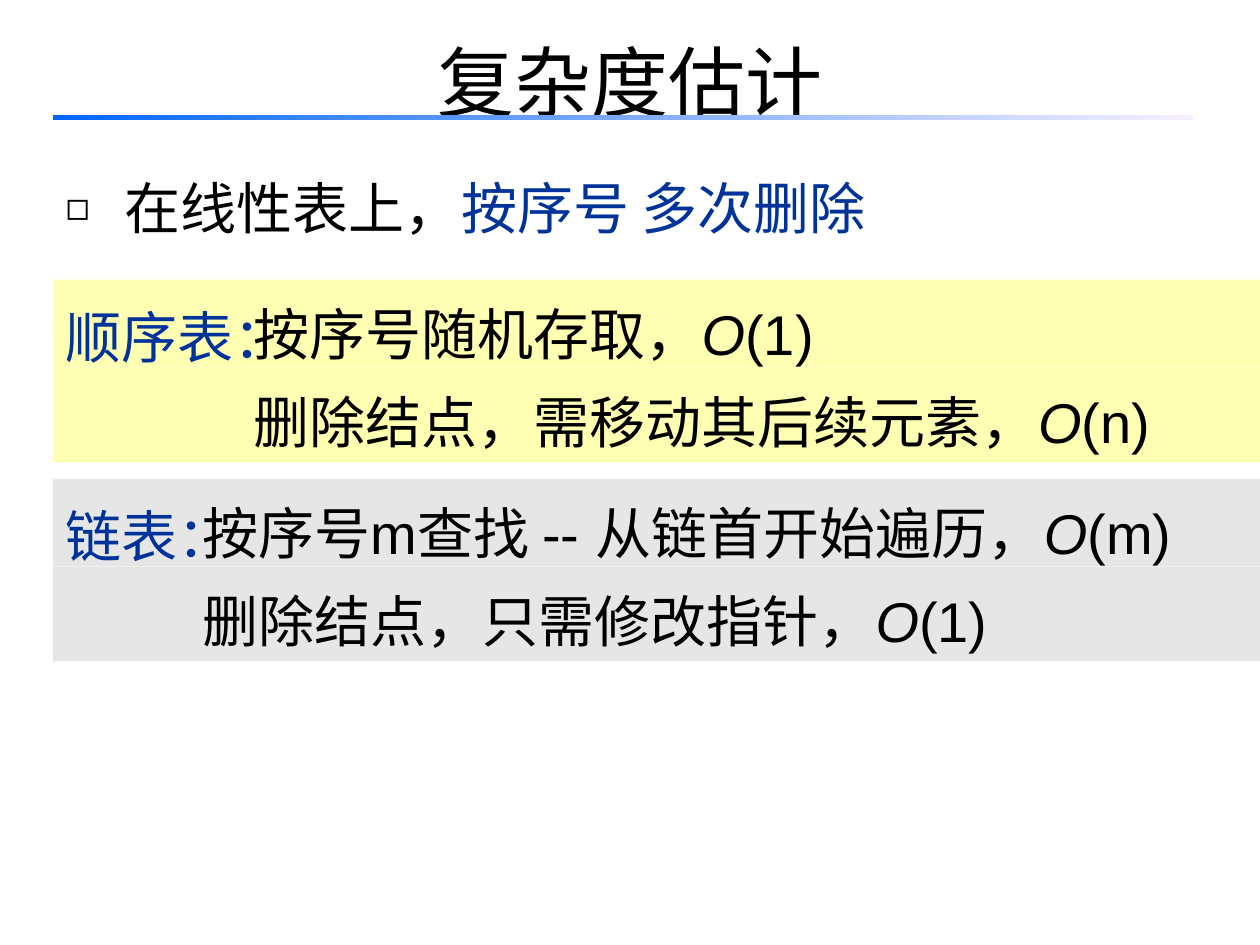
from dataclasses import dataclass

from lxml import etree
from pptx import Presentation
from pptx.dml.color import RGBColor
from pptx.enum.shapes import MSO_SHAPE
from pptx.enum.text import MSO_ANCHOR, MSO_AUTO_SIZE, PP_ALIGN
from pptx.oxml.ns import qn
from pptx.util import Inches, Pt

RECTANGLE = MSO_SHAPE.RECTANGLE
TOP, MIDDLE = MSO_ANCHOR.TOP, MSO_ANCHOR.MIDDLE
LEFT, CENTER = PP_ALIGN.LEFT, PP_ALIGN.CENTER
NO_FIT = MSO_AUTO_SIZE.NONE

BLACK = RGBColor(0x00, 0x00, 0x00)
WHITE = RGBColor(0xFF, 0xFF, 0xFF)
NAVY = RGBColor(0x00, 0x33, 0x99)
YELLOW = RGBColor(0xFF, 0xFF, 0xB3)
GRAY = RGBColor(0xE6, 0xE6, 0xE6)
RULE_START = RGBColor(0x00, 0x66, 0xFF)
RULE_END = RGBColor(0xF7, 0xEF, 0xFF)

SLIDE_WIDTH, SLIDE_HEIGHT = 10, 7.5
MARGIN = 0.42
FIRST_ROW_SHARE = 0.48


@dataclass
class Box:
    left: float
    top: float
    width: float
    height: float

    def share(self, top, height, width=1):
        return Box(self.left, self.top + top * self.height,
                   width * self.width, height * self.height)

    def emu(self):
        return [Inches(n) for n in (self.left, self.top, self.width, self.height)]


def place(placeholder, box):
    placeholder.left, placeholder.top, placeholder.width, placeholder.height = box.emu()


def write(holder, *runs, size=32, color=BLACK, align=LEFT, anchor=TOP,
          spacing=1.2, indent=0, hanging=0, bullet=None, wrap=True):
    frame = holder.text_frame
    frame.auto_size = NO_FIT
    frame.word_wrap = wrap
    frame.vertical_anchor = anchor
    paragraph = frame.paragraphs[0]
    paragraph.alignment = align
    paragraph.line_spacing = spacing
    paragraph.space_before = Pt(0)
    properties = paragraph._p.get_or_add_pPr()
    properties.set("marL", str(Inches(indent)))
    properties.set("indent", str(Inches(-hanging)))
    if bullet:
        etree.SubElement(properties, qn("a:buSzPct"), val="70000")
        etree.SubElement(properties, qn("a:buFont"), typeface="Arial")
        etree.SubElement(properties, qn("a:buChar"), char=bullet)
    for text, changes in runs:
        run = paragraph.add_run()
        run.text = text
        run.font.name = "Arial"
        run.font.size = Pt(size)
        run.font.italic = changes.get("italic", False)
        run.font.color.rgb = changes.get("color", color)


def add_panel(slide, box, fill):
    panel = slide.shapes.add_shape(RECTANGLE, *box.emu())
    panel.shadow.inherit = False
    panel.line.fill.background()
    panel.fill.solid()
    panel.fill.fore_color.rgb = fill
    return panel


def add_heading(slide, box):
    title = slide.shapes.title
    place(title, box)
    write(title, ("复杂度估计", {}), size=44, align=CENTER, anchor=MIDDLE, spacing=1.25)


def add_rule(slide, box):
    rule = add_panel(slide, box, RULE_START)
    rule.fill.gradient()
    rule.fill.gradient_angle = 0
    for stop, color, position in zip(rule.fill.gradient_stops, (RULE_START, RULE_END), (0, 1)):
        stop.color.rgb = color
        stop.position = position


def add_topic(slide, box):
    topic = slide.placeholders[1]
    place(topic, box)
    topic.fill.solid()
    topic.fill.fore_color.rgb = WHITE
    write(topic, ("在线性表上，", {}), ("按序号 多次删除", {"color": NAVY}),
          spacing=1.3, indent=0.47, hanging=0.47, bullet="◻")


def add_comparison(slide, box, name, name_share, indent, fill, steps):
    rows = (box.share(0, FIRST_ROW_SHARE),
            box.share(FIRST_ROW_SHARE, 1 - FIRST_ROW_SHARE))
    panels = [add_panel(slide, row, fill) for row in reversed(rows)]
    for panel, (step, cost) in zip(reversed(panels), steps):
        write(panel, (step, {}), ("O", {"italic": True}), (cost, {}), indent=indent)
    label = slide.shapes.add_textbox(*box.share(0, FIRST_ROW_SHARE, name_share).emu())
    write(label, (name, {}), color=NAVY, spacing=1.25, wrap=False)


def main():
    deck = Presentation()
    deck.slide_width, deck.slide_height = Inches(SLIDE_WIDTH), Inches(SLIDE_HEIGHT)
    slide = deck.slides.add_slide(deck.slide_layouts[1])
    panel_width = SLIDE_WIDTH - MARGIN

    add_heading(slide, Box(0.5, -0.08, 9, 1.25))
    add_rule(slide, Box(MARGIN, 0.91, 9.05, 0.04))
    add_topic(slide, Box(MARGIN, 1.17, 8.5, 0.75))
    add_comparison(slide, Box(MARGIN, 2.22, panel_width, 1.45), "顺序表：", 0.21, 1.49, YELLOW,
                   [("按序号随机存取，", "(1)"), ("删除结点，需移动其后续元素，", "(n)")])
    add_comparison(slide, Box(MARGIN, 3.8, panel_width, 1.45), "链表：", 0.16, 1.09, GRAY,
                   [("按序号m查找 -- 从链首开始遍历，", "(m)"), ("删除结点，只需修改指针，", "(1)")])
    deck.save("out.pptx")


if __name__ == "__main__":
    main()
